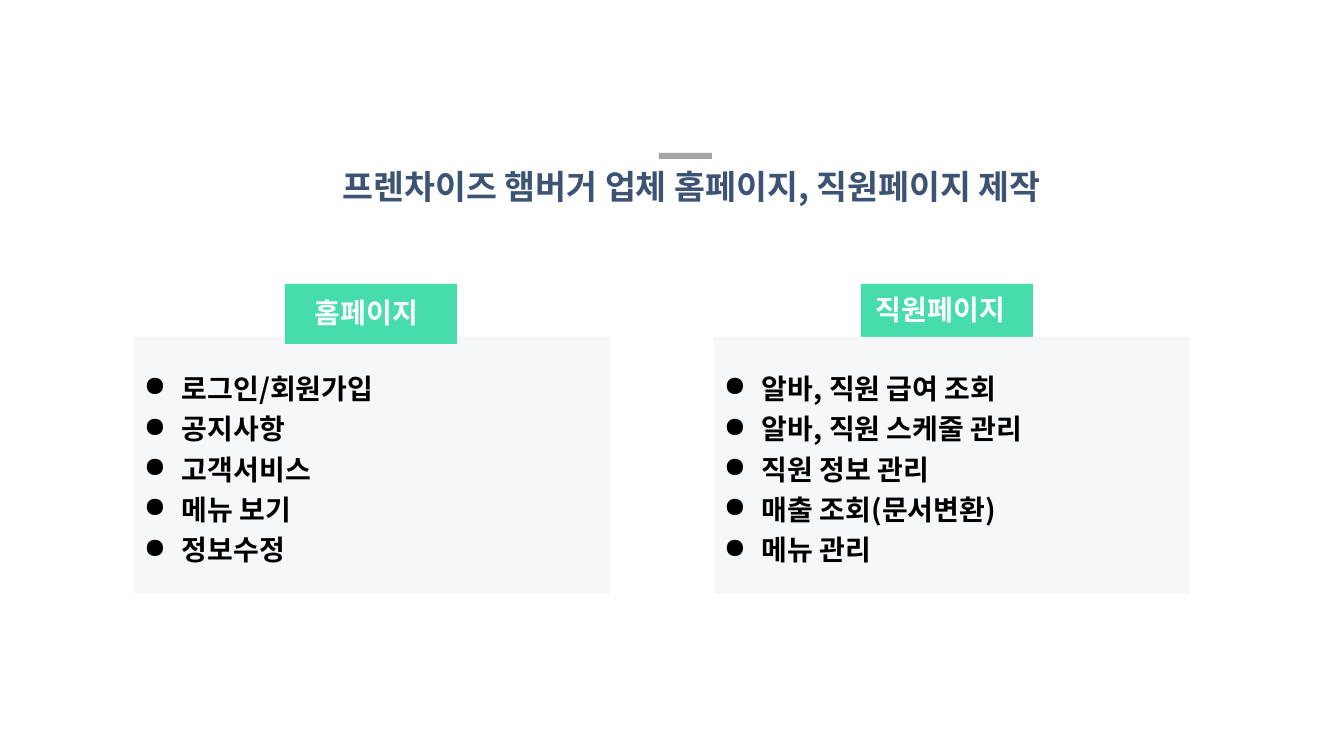
"""Builds the slide outlining the homepage and staff page of a burger franchise."""
import pptx
import pptx.dml.color
import pptx.enum.shapes
import pptx.enum.text
import pptx.oxml.ns
import pptx.util
from lxml import etree

TITLE = "프렌차이즈 햄버거 업체 홈페이지, 직원페이지 제작"
TITLE_BOX = (195, 161, 984, 50)
ACCENT_BAR = (659, 153, 53, 6)
SECTIONS = [
    {
        "label": "홈페이지",
        "items": ["로그인/회원가입", "공지사항", "고객서비스", "메뉴 보기", "정보수정"],
        "panel_left": 134,
        "tag_left": 285,
        "label_box": (305, 291, 133, 44),
        "tag_in_front": True,
    },
    {
        "label": "직원페이지",
        "items": ["알바, 직원 급여 조회", "알바, 직원 스케줄 관리", "직원 정보 관리",
                  "매출 조회(문서변환)", "메뉴 관리"],
        "panel_left": 714,
        "tag_left": 861,
        "label_box": (866, 288, 171, 44),
        "tag_in_front": False,
    },
]
PANEL_TOP, PANEL_WIDTH, PANEL_HEIGHT = 337, 476, 257
TAG_TOP, TAG_WIDTH, TAG_HEIGHT = 284, 172, 60
TITLE_INDENT, BULLET_INDENT = 9, 38

THEME = {
    "font": "Noto Sans CJK KR",
    "title": "3D5374",
    "bar": "A5A5A5",
    "panel": "F6F7F9",
    "tag": "46DCAC",
    "label": "FFFFFF",
    "item": "000000",
    "title_size": 24,
    "body_size": 20,
    "item_leading": 28.8,
}

SLIDE_WIDTH, SLIDE_HEIGHT = 1344, 756
EMU_PER_PX = 914400 / 100.8


def px(length):
    return pptx.util.Emu(round(length * EMU_PER_PX))


def color(name):
    return pptx.dml.color.RGBColor.from_string(THEME[name])


def add_rectangle(page, frame, fill):
    box = page.shapes.add_shape(pptx.enum.shapes.MSO_SHAPE.RECTANGLE, *map(px, frame))
    box.shadow.inherit = False
    box.fill.solid()
    box.fill.fore_color.rgb = color(fill)
    box.line.fill.background()
    return box


def add_text_box(page, frame):
    box = page.shapes.add_textbox(*map(px, frame))
    box.text_frame.word_wrap = True
    return box.text_frame.paragraphs[0]


def add_span(para, text, ink, size):
    span = para.add_run()
    span.text = text
    span.font.name = THEME["font"]
    span.font.size = pptx.util.Pt(THEME[size])
    span.font.bold = True
    span.font.color.rgb = color(ink)
    east_asian = etree.SubElement(span.font._element, pptx.oxml.ns.qn("a:ea"))
    east_asian.set("typeface", THEME["font"])


def add_bullet(para):
    properties = para._p.get_or_add_pPr()
    properties.set("marL", str(px(BULLET_INDENT)))
    properties.set("indent", str(px(-BULLET_INDENT)))
    bullet_color = etree.SubElement(properties, pptx.oxml.ns.qn("a:buClr"))
    etree.SubElement(bullet_color, pptx.oxml.ns.qn("a:srgbClr")).set("val", THEME["item"])
    etree.SubElement(properties, pptx.oxml.ns.qn("a:buChar")).set("char", "●")


def add_title(page):
    para = add_text_box(page, TITLE_BOX)
    para.alignment = pptx.enum.text.PP_ALIGN.CENTER
    para._p.get_or_add_pPr().set("marL", str(px(TITLE_INDENT)))
    add_span(para, TITLE, "title", "title_size")


def add_panel(page, section):
    frame = (section["panel_left"], PANEL_TOP, PANEL_WIDTH, PANEL_HEIGHT)
    text = add_rectangle(page, frame, "panel").text_frame
    text.word_wrap = True
    text.vertical_anchor = pptx.enum.text.MSO_ANCHOR.MIDDLE
    for index, item in enumerate(section["items"]):
        para = text.add_paragraph() if index else text.paragraphs[0]
        para.alignment = pptx.enum.text.PP_ALIGN.LEFT
        para.line_spacing = pptx.util.Pt(THEME["item_leading"])
        add_bullet(para)
        add_span(para, item, "item", "body_size")


def add_tag(page, section):
    add_rectangle(page, (section["tag_left"], TAG_TOP, TAG_WIDTH, TAG_HEIGHT), "tag")
    para = add_text_box(page, section["label_box"])
    add_span(para, section["label"], "label", "body_size")


def main():
    deck = pptx.Presentation()
    deck.slide_width, deck.slide_height = px(SLIDE_WIDTH), px(SLIDE_HEIGHT)
    page = deck.slides.add_slide(deck.slide_layouts[6])
    add_title(page)
    add_rectangle(page, ACCENT_BAR, "bar")
    for section in SECTIONS:
        layers = [add_panel, add_tag] if section["tag_in_front"] else [add_tag, add_panel]
        for add_layer in layers:
            add_layer(page, section)
    deck.save("out.pptx")


if __name__ == "__main__":
    main()
